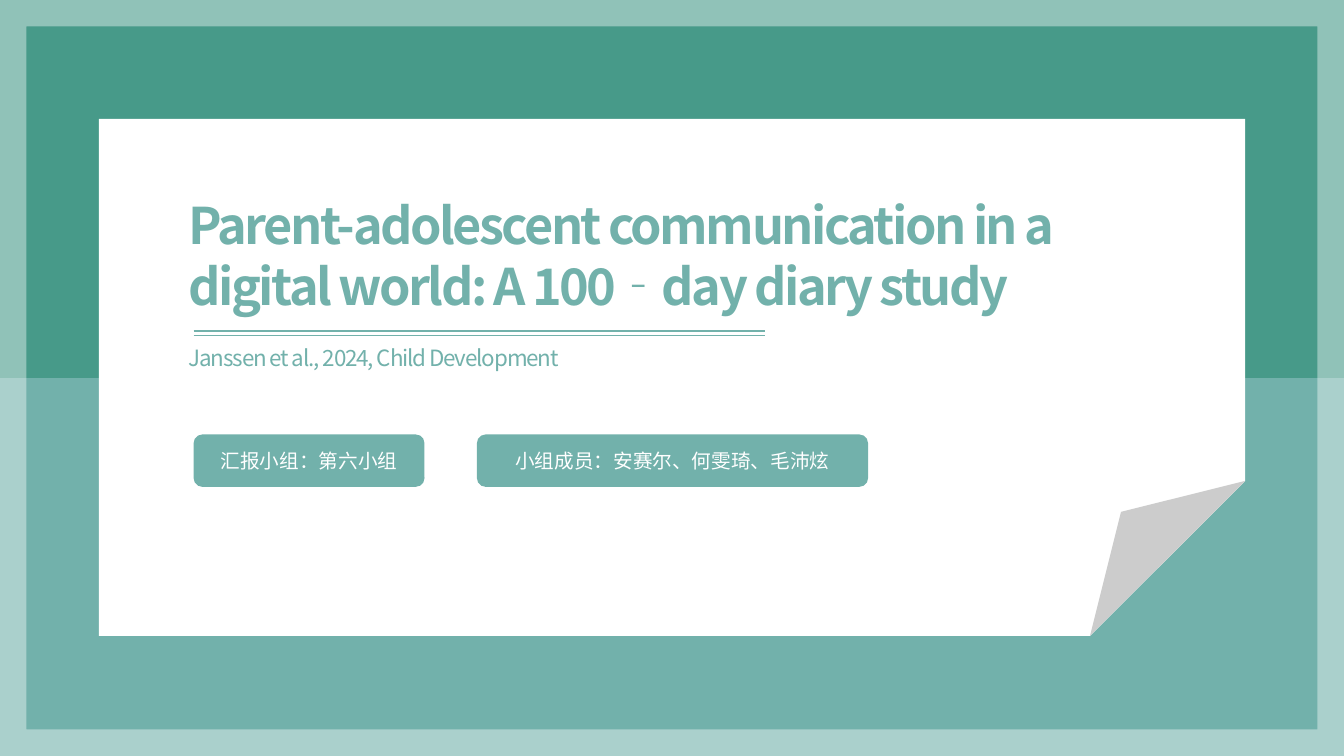
from lxml import etree
from pptx import Presentation
from pptx.dml.color import RGBColor
from pptx.enum.shapes import MSO_CONNECTOR, MSO_SHAPE
from pptx.enum.text import MSO_ANCHOR, MSO_AUTO_SIZE, PP_ALIGN
from pptx.oxml.ns import qn
from pptx.util import Inches, Pt

RECT, CARD = MSO_SHAPE.RECTANGLE, MSO_SHAPE.FOLDED_CORNER
FRAME, PILL = MSO_SHAPE.FRAME, MSO_SHAPE.ROUNDED_RECTANGLE
STRAIGHT = MSO_CONNECTOR.STRAIGHT
TOP, MIDDLE = MSO_ANCHOR.TOP, MSO_ANCHOR.MIDDLE
LEFT, CENTER = PP_ALIGN.LEFT, PP_ALIGN.CENTER
GROW = MSO_AUTO_SIZE.SHAPE_TO_FIT_TEXT
FONT = "Noto Sans CJK SC"
WIDTH, HEIGHT = 13.33, 7.5
TEAL, GREEN, WHITE = "72B1AB", "479A89", "FFFFFF"


def rgb(value):
    """Turn a hex string into a colour."""
    return RGBColor.from_string(value)


def add_block(slide, kind, box, fill):
    """Add a flat preset shape in the given box."""
    sp = slide.shapes.add_shape(kind, *map(Inches, box))
    sp.shadow.inherit = False
    sp.fill.solid()
    sp.fill.fore_color.rgb = rgb(fill)
    sp.line.fill.background()
    return sp


def set_guide(sp, name, share):
    """Set a named adjustment of a preset shape as a share of its short side."""
    geometry = sp._element.spPr.find(qn("a:prstGeom"))
    guides = geometry.find(qn("a:avLst"))
    if guides is None:
        guides = etree.SubElement(geometry, qn("a:avLst"))
    for guide in list(guides):
        guides.remove(guide)
    etree.SubElement(guides, qn("a:gd"), name=name,
                     fmla=f"val {round(share * 100000)}")


def write(sp, text, size, color, align, anchor, bold=False, spacing=0):
    """Set one formatted paragraph in a shape."""
    tf = sp.text_frame
    tf.text = text
    tf.word_wrap = True
    tf.vertical_anchor = anchor
    p = tf.paragraphs[0]
    p.alignment = align
    p.space_before = Pt(0)
    r = p.runs[0]
    r.font.size = Pt(size)
    r.font.bold = bold
    r.font.color.rgb = rgb(color)
    r.font.name = FONT
    rPr = r._r.get_or_add_rPr()
    rPr.set("spc", str(round(spacing * 100)))
    etree.SubElement(rPr, qn("a:ea"), typeface=FONT)


def add_backdrop(slide, box):
    """Fill the box with two bands, the folded card and a translucent frame."""
    x, y, w, h = box
    half = h / 2
    add_block(slide, RECT, (x, y + half, w, half), TEAL)
    add_block(slide, RECT, (x, y, w, half), GREEN)
    card = add_block(slide, CARD, (x + 0.98, y + 1.18, 11.37, 5.13), WHITE)
    set_guide(card, "adj", 0.3)
    frame = add_block(slide, FRAME, box, WHITE)
    set_guide(frame, "adj1", 0.035)
    color = frame._element.spPr.find(qn("a:solidFill"))[0]
    etree.SubElement(color, qn("a:alpha"), val="40000")


def place_heading(slide, sp, box, text, size, bold, spacing):
    """Move a placeholder into the box, in front of the backdrop, and fill it."""
    slide.shapes._spTree.append(sp._element)
    sp.left, sp.top, sp.width, sp.height = map(Inches, box)
    write(sp, text, size, TEAL, LEFT, TOP, bold, spacing)
    sp.text_frame.auto_size = GROW


def add_double_rule(slide, x, y, width):
    """Draw a thick rule with a thin one just below it."""
    for offset, weight in ((0, 1.5), (0.05, 0.75)):
        ends = (x, y + offset, x + width, y + offset)
        line = slide.shapes.add_connector(STRAIGHT, *map(Inches, ends))
        line.line.color.rgb = rgb(TEAL)
        line.line.width = Pt(weight)
        etree.SubElement(line._element.spPr, qn("a:effectLst"))


def add_pills(slide, x, y, height, gap, pills):
    """Lay out rounded labels from left to right."""
    for text, width in pills:
        sp = add_block(slide, PILL, (x, y, width, height), TEAL)
        write(sp, text, 14, WHITE, CENTER, MIDDLE)
        x += width + gap


def build_cover(prs):
    """Build the cover slide."""
    slide = prs.slides.add_slide(prs.slide_layouts[0])
    title, subtitle = slide.placeholders
    add_backdrop(slide, (0, 0, WIDTH, HEIGHT))
    place_heading(slide, title, (1.77, 1.88, 8.88, 1.31),
                  "Parent-adolescent communication in a digital world: "
                  "A 100‐day diary study", 36, True, -1.8)
    add_double_rule(slide, 1.92, 3.28, 5.67)
    add_pills(slide, 1.92, 4.31, 0.52, 0.52,
              (("汇报小组：第六小组", 2.29), ("小组成员：安赛尔、何雯琦、毛沛炫", 3.88)))
    place_heading(slide, subtitle, (1.77, 3.36, 8.64, 0.37),
                  "Janssen et al., 2024, Child Development", 16, False, -0.8)


def main():
    """Create and save the presentation."""
    prs = Presentation()
    prs.slide_width, prs.slide_height = Inches(WIDTH), Inches(HEIGHT)
    build_cover(prs)
    prs.save("out.pptx")


if __name__ == "__main__":
    main()
